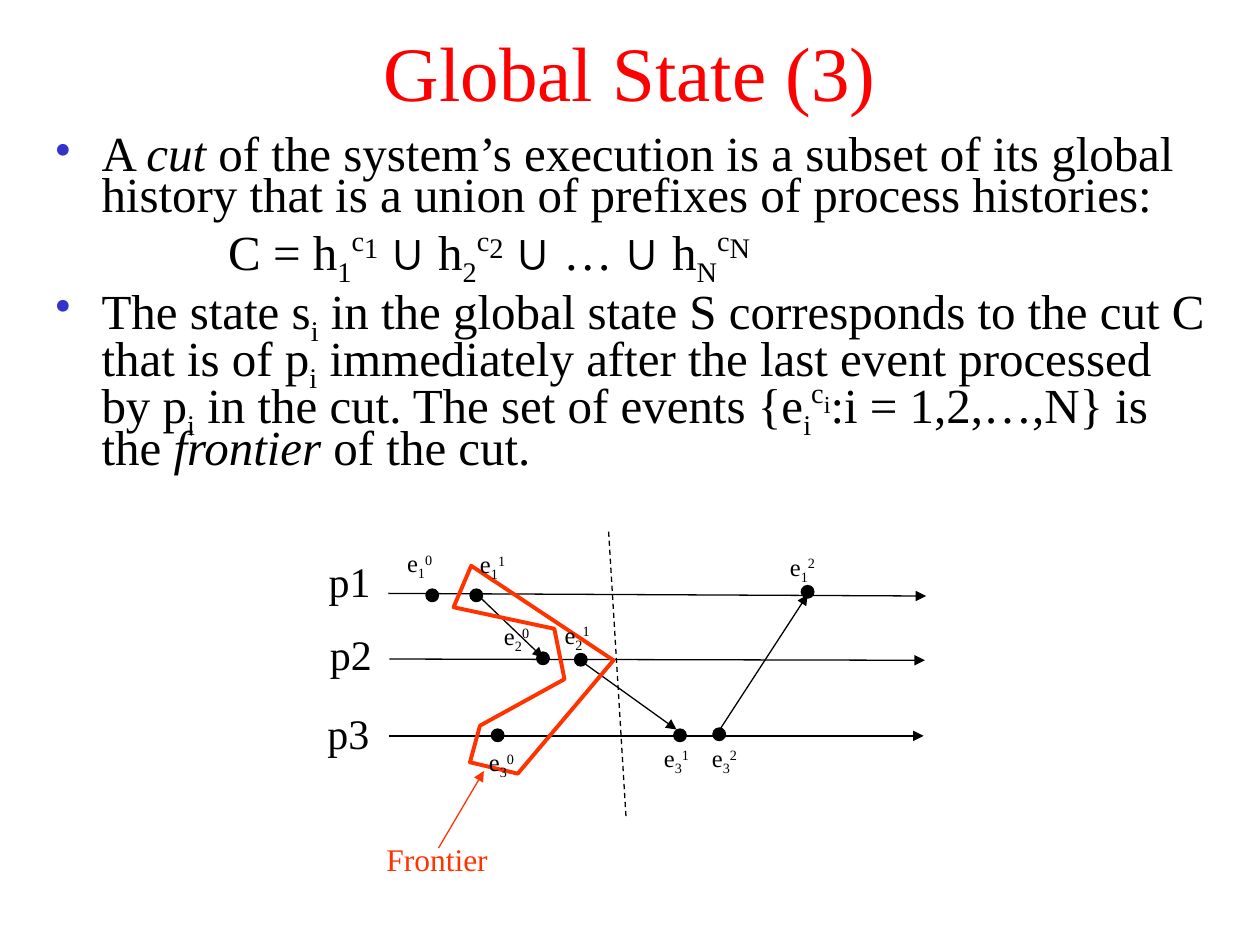
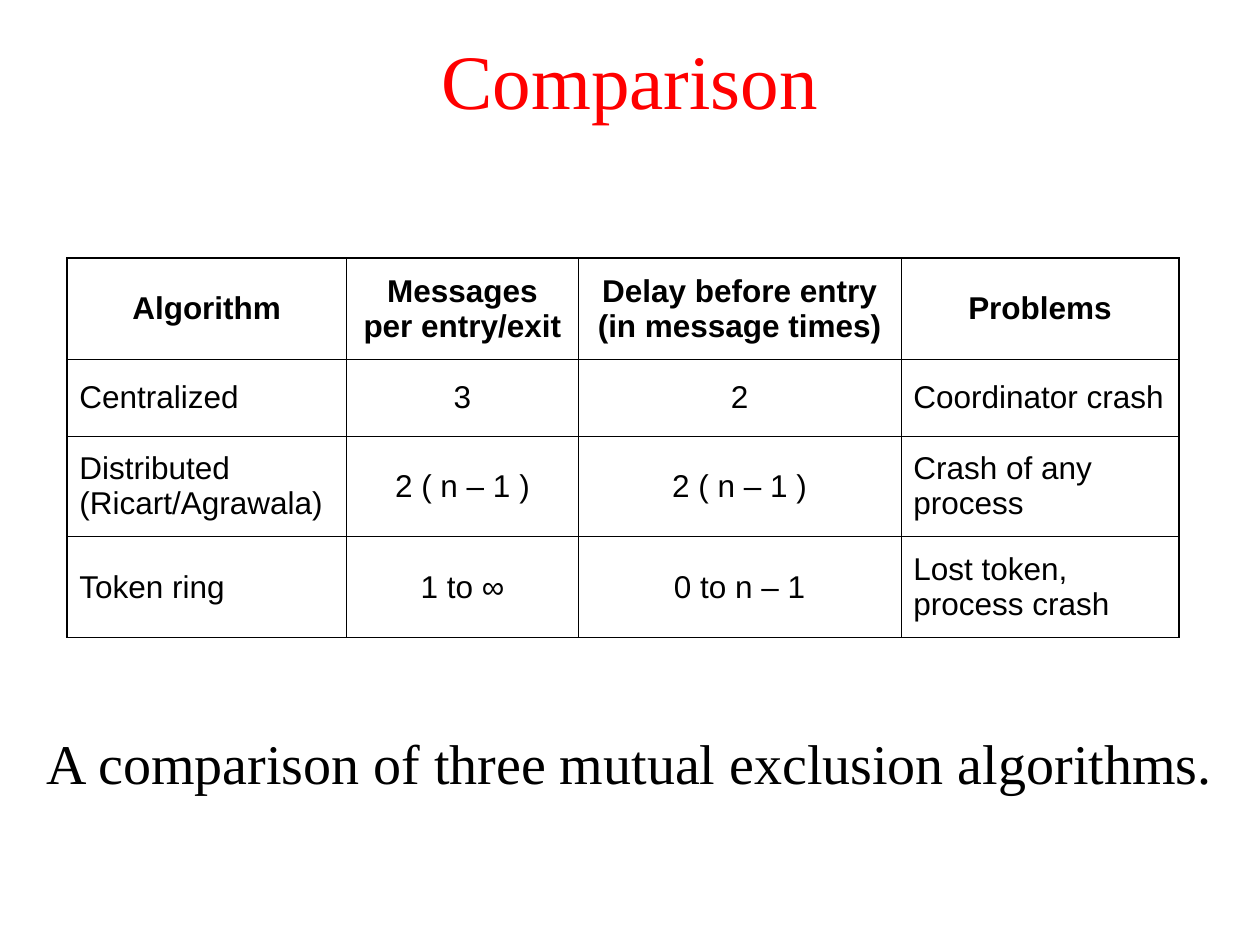
from lxml import etree
from pptx import Presentation
from pptx.dml.color import RGBColor
from pptx.enum import dml, shapes, text
from pptx.oxml import ns
from pptx.util import Pt

# Shared look
SERIF, SANS = "Times New Roman", "Arial"
BLACK, RED, ORANGE, BLUE = "000000", "FF0000", "FF3300", "3333CC"
HAIRLINE = 0.75
TITLE_SIZE = (720, 90)

# Slide 1 text: plain strings, or (string, style) pairs
STYLES = {
    "italic": {"italic": True},
    "union": {"name": SANS},
    "sub": {"baseline": -25},
    "event": {"baseline": 30},
    "high": {"baseline": 40},
    "raised": {"baseline": 24},
    "small raised": {"baseline": 24, "size": 24},
}
SUB_I, UNION = ("i", "sub"), ("∪", "union")
CUT_TEXT = [
    ("bullet", ["A ", ("cut", "italic"),
                " of the system’s execution is a subset of its global history "
                "that is a union of prefixes of process histories:"]),
    ("formula", ["C = h", ("1", "sub"), ("c", "high"), ("1", "raised"), " ", UNION,
                 " h", ("2", "sub"), ("c", "high"), ("2", "raised"), " ", UNION,
                 " … ", UNION, " h", ("N", "sub"), ("c", "high"), ("N", "raised")]),
    ("bullet", ["The state s", SUB_I, " in the global state S corresponds to the cut C "
                "that is of p", SUB_I, " immediately after the last event processed by p",
                SUB_I, " in the cut. The set of events {e", SUB_I, ("c", "high"),
                ("i", "small raised"), ":i = 1,2,…,N} is the ",
                ("frontier", "italic"), " of the cut."]),
]

# Slide 1 diagram: process -> label corner, line start, line end
PROCESSES = {
    "p1": ((180.7, 313.9), (222, 339.1), (529.2, 340.6)),
    "p2": ((181.4, 355.7), (222.5, 376.6), (528.5, 377.3)),
    "p3": ((180, 401), (222.5, 420.5), (527.8, 420.5)),
}
# Process number, event number, dot centre, label corner
EVENTS = [
    ("1", "0", (247, 340.2), (225.4, 309.6)),
    ("1", "1", (272.2, 340.2), (267.1, 310.3)),
    ("1", "2", (461.5, 338.2), (444.2, 311.8)),
    ("2", "0", (310.3, 376.2), (280.8, 351.4)),
    ("2", "1", (331.9, 377), (315.4, 350.6)),
    ("3", "0", (284.4, 420.2), (272.2, 423.4)),
    ("3", "1", (388.6, 420.2), (372.2, 421.2)),
    ("3", "2", (411, 419.6), (399.6, 421.2)),
]
MESSAGES = [
    ((274.3, 341.3), (310.3, 375.8)),
    ((333.4, 378.7), (386.6, 416.9)),
    ((411.8, 416.2), (461.5, 339.8)),
]
CUT_LINE = ((347.8, 303.8), (357.8, 468))
FRONTIER = [(269.3, 323.3), (259.2, 347), (316.8, 359.3), (322.6, 388.1),
            (274.3, 414.7), (268.6, 435.6), (295.9, 442.1), (350.6, 377.3)]
FRONTIER_POINTER = ((250.6, 484.6), (276.5, 440.6))
DOT = 7.2

# Slide 2 content
COMPARISON = [
    ("Algorithm", "Messages per entry/exit", "Delay before entry (in message times)", "Problems"),
    ("Centralized", "3", "2", "Coordinator crash"),
    ("Distributed (Ricart/Agrawala)", "2 ( n – 1 )", "2 ( n – 1 )", "Crash of any process"),
    ("Token ring", "1 to ∞", "0 to n – 1", "Lost token, process crash"),
]
COLUMN_WIDTHS = [159.8, 132.5, 184.3, 159.1]
ROW_HEIGHTS = [57.6, 43.9, 57.6, 57.6]
INNER_BORDER, OUTER_BORDER = 0.45, 1.08
CAPTION = "A comparison of three mutual exclusion algorithms."


def color(value):
    return RGBColor.from_string(value)


def add_xml(parent, tag, **attributes):
    return etree.SubElement(parent, ns.qn(tag), attributes)


def place(shape, left, top, width, height):
    shape.left, shape.top, shape.width, shape.height = map(Pt, (left, top, width, height))


def style_font(para, size, tint=BLACK, name=SERIF, bold=False):
    font = para.font
    font.size, font.name, font.bold = Pt(size), name, bold
    font.color.rgb = color(tint)


def add_spans(para, parts):
    for part in parts:
        content, style = (part, None) if isinstance(part, str) else part
        span = para.add_run()
        span.text = content
        for key, value in STYLES.get(style, {}).items():
            if key == "baseline":
                span._r.get_or_add_rPr().set("baseline", str(value * 1000))
            else:
                setattr(span.font, key, Pt(value) if key == "size" else value)


def set_margins(para, left, indent, bullet=False):
    props = para._p.get_or_add_pPr()
    props.set("marL", str(Pt(left)))
    props.set("indent", str(Pt(indent)))
    if bullet:
        add_xml(add_xml(props, "a:buClr"), "a:srgbClr", val=BLUE)
        add_xml(props, "a:buFont", typeface=SERIF)
        add_xml(props, "a:buChar", char="•")
    else:
        add_xml(props, "a:buNone")


def add_page(deck, title, title_top, body_place):
    page = deck.slides.add_slide(deck.slide_layouts[1])
    heading, body = page.placeholders
    place(heading, 0, title_top, *TITLE_SIZE)
    place(body, *body_place)
    for box in (heading, body):
        box.text_frame.auto_size = text.MSO_AUTO_SIZE.NONE
        box.text_frame.word_wrap = True
    heading.text_frame.vertical_anchor = text.MSO_ANCHOR.MIDDLE
    heading.text_frame.text = title
    para = heading.text_frame.paragraphs[0]
    para.alignment = text.PP_ALIGN.CENTER
    style_font(para, 44, RED)
    return page, body.text_frame


def add_label(page, corner, size, parts, points, tint=BLACK):
    box = page.shapes.add_textbox(*map(Pt, (*corner, *size)))
    box.text_frame.word_wrap = False
    box.text_frame.auto_size = text.MSO_AUTO_SIZE.SHAPE_TO_FIT_TEXT
    para = box.text_frame.paragraphs[0]
    para.alignment = text.PP_ALIGN.CENTER
    style_font(para, points, tint)
    add_spans(para, parts)


def add_line(page, start, end, tint=BLACK, arrow=True):
    line = page.shapes.add_connector(shapes.MSO_CONNECTOR.STRAIGHT, *map(Pt, (*start, *end)))
    line.line.color.rgb = color(tint)
    line.line.width = Pt(HAIRLINE)
    if arrow:
        add_xml(line.line._get_or_add_ln(), "a:tailEnd", type="triangle")
    else:
        line.line.dash_style = dml.MSO_LINE.DASH
    add_xml(line._element.spPr, "a:effectLst")


def add_dot(page, center):
    left, top = (value - DOT / 2 for value in center)
    dot = page.shapes.add_shape(shapes.MSO_SHAPE.OVAL, *map(Pt, (left, top, DOT, DOT)))
    dot.shadow.inherit = False
    dot.fill.solid()
    dot.fill.fore_color.rgb = color(BLACK)
    dot.line.color.rgb = color(BLACK)
    dot.line.width = Pt(HAIRLINE)


def add_frontier(page):
    start, *others = [tuple(map(Pt, point)) for point in FRONTIER]
    builder = page.shapes.build_freeform(*start)
    builder.add_line_segments(others, close=True)
    outline = builder.convert_to_shape()
    outline.shadow.inherit = False
    outline.fill.background()
    outline.line.color.rgb = color(ORANGE)
    outline.line.width = Pt(2.25)


def build_global_state(deck):
    page, frame = add_page(deck, "Global State (3)", -4.3, (23.8, 75.6, 674.6, 216.7))
    for number, (kind, parts) in enumerate(CUT_TEXT):
        para = frame.add_paragraph() if number else frame.paragraphs[0]
        if kind == "bullet":
            set_margins(para, 27, -27, bullet=True)
        else:
            set_margins(para, 99.4, 0)
        para.line_spacing = 0.7
        para.space_before = Pt(7 if number else 0)
        style_font(para, 28)
        add_spans(para, parts)

    # Process lines, messages and events
    for name, (corner, start, end) in PROCESSES.items():
        add_line(page, start, end)
        add_label(page, corner, (38.2, 36), [name], 24)
    for start, end in MESSAGES:
        add_line(page, start, end)
    for _, _, center, _ in EVENTS:
        add_dot(page, center)

    # Cut and frontier
    add_line(page, *CUT_LINE, arrow=False)
    add_frontier(page)
    add_label(page, (205.8, 476.6), (88, 28.8), ["Frontier"], 18, ORANGE)
    add_line(page, *FRONTIER_POINTER, tint=ORANGE)
    for process, event, _, corner in EVENTS:
        parts = ["e", (process, "sub"), (event, "event")]
        add_label(page, corner, (28.8, 26.6), parts, 14)


def set_borders(cell, outer_sides):
    props = cell._tc.get_or_add_tcPr()
    for side in "LRTB":
        width = OUTER_BORDER if side in outer_sides else INNER_BORDER
        line = add_xml(props, f"a:ln{side}", w=str(Pt(width)))
        add_xml(add_xml(line, "a:solidFill"), "a:srgbClr", val=BLACK)


def build_comparison(deck):
    page, frame = add_page(deck, "Comparison", 0, (0, 412.6, 720, 66.2))
    caption = frame.paragraphs[0]
    set_margins(caption, 27, -27)
    caption.alignment = text.PP_ALIGN.CENTER
    caption.space_before = Pt(0)
    style_font(caption, 32)
    add_spans(caption, [CAPTION])

    # Table with a heavier outer frame
    last_row, last_column = len(ROW_HEIGHTS) - 1, len(COLUMN_WIDTHS) - 1
    table = page.shapes.add_table(
        last_row + 1, last_column + 1,
        *map(Pt, (38.2, 147.6, sum(COLUMN_WIDTHS), sum(ROW_HEIGHTS)))).table
    table.first_row = table.horz_banding = False
    for column, width in zip(table.columns, COLUMN_WIDTHS):
        column.width = Pt(width)
    for row, height in zip(table.rows, ROW_HEIGHTS):
        row.height = Pt(height)
    for r, values in enumerate(COMPARISON):
        for c, value in enumerate(values):
            cell = table.cell(r, c)
            edges = {"L": c == 0, "R": c == last_column, "T": r == 0, "B": r == last_row}
            set_borders(cell, [side for side, outer in edges.items() if outer])
            cell.fill.background()
            cell.vertical_anchor = text.MSO_ANCHOR.MIDDLE
            cell.text = value
            para = cell.text_frame.paragraphs[0]
            centered = r == 0 or 0 < c < last_column
            para.alignment = text.PP_ALIGN.CENTER if centered else text.PP_ALIGN.LEFT
            style_font(para, 18, name=SANS, bold=r == 0)


def main():
    deck = Presentation()
    deck.slide_width, deck.slide_height = Pt(720), Pt(540)
    build_global_state(deck)
    build_comparison(deck)
    deck.save("out.pptx")


if __name__ == "__main__":
    main()
